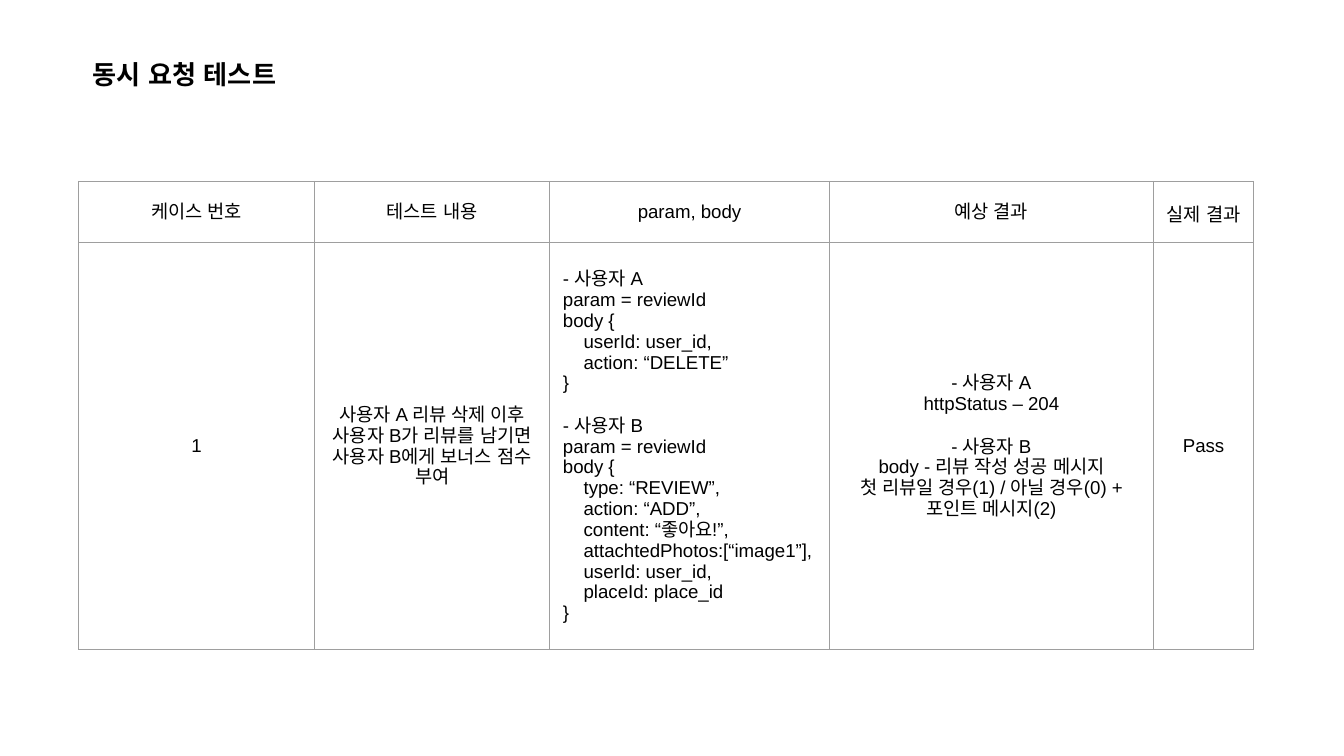
from lxml import etree
from pptx import Presentation
from pptx import util as u
from pptx.dml.color import RGBColor
from pptx.enum import text
from pptx.oxml import ns

COLOURS = {"ink": "000000", "paper": "FFFFFF", "rule": "9E9E9E"}
FONT = "Arial"
MARGIN = 0.25
GAP = 11.5  # points between the blocks of one cell
ALIGN = text.PP_ALIGN

COLUMNS = [4.45, 4.45, 5.28, 6.13, 1.89]
ROWS = [1.16, 7.45]
HEADERS = ["케이스 번호", "테스트 내용", "param, body", "예상 결과", "실제 결과"]

# Each cell is a list of blocks; each block is a list of lines
REQUESTS = [
    ["- 사용자 A",
     "param = reviewId",
     "body {",
     "    userId: user_id,",
     "    action: “DELETE”",
     "}"],
    ["- 사용자 B",
     "param = reviewId",
     "body {",
     "    type: “REVIEW”,",
     "    action: “ADD”,",
     "    content: “좋아요!”,",
     "    attachtedPhotos:[“image1”],",
     "    userId: user_id,",
     "    placeId: place_id",
     "}"],
]
EXPECTED = [
    ["- 사용자 A", "httpStatus – 204"],
    ["- 사용자 B",
     "body - 리뷰 작성 성공 메시지",
     "첫 리뷰일 경우(1) / 아닐 경우(0) + 포인트 메시지(2)"],
]
PURPOSE = "사용자 A 리뷰 삭제 이후 사용자 B가 리뷰를 남기면 사용자 B에게 보너스 점수 부여"
CASE = [[["1"]], [[PURPOSE]], REQUESTS, EXPECTED, [["Pass"]]]


def write(frame, blocks, size=10, bold=False, align=ALIGN.LEFT):
    """Fill a text frame with blocks of lines, set apart by paragraph spacing."""
    lines = [(line, number > 0 and place == 0)
             for number, block in enumerate(blocks)
             for place, line in enumerate(block)]
    for index, (line, opens_block) in enumerate(lines):
        para = frame.paragraphs[0] if index == 0 else frame.add_paragraph()
        para.alignment = align
        if opens_block:
            para.space_before = u.Pt(GAP)
        span = para.add_run()
        span.text = line
        span.font.name = FONT
        span.font.size = u.Pt(size)
        span.font.bold = bold
        span.font.color.rgb = RGBColor.from_string(COLOURS["ink"])
        east_asian = etree.SubElement(span.font._element, ns.qn("a:ea"))
        east_asian.set("typeface", FONT)


def draw_borders(cell, colour, width):
    properties = cell._tc.get_or_add_tcPr()
    for side in ("a:lnL", "a:lnR", "a:lnT", "a:lnB"):
        line = etree.SubElement(properties, ns.qn(side), w=str(u.Pt(width)))
        fill = etree.SubElement(line, ns.qn("a:solidFill"))
        etree.SubElement(fill, ns.qn("a:srgbClr"), val=colour)


def add_title(page, left, top, width, height):
    box = page.shapes.add_textbox(*map(u.Cm, (left, top, width, height)))
    frame = box.text_frame
    frame.word_wrap = True
    frame.auto_size = text.MSO_AUTO_SIZE.SHAPE_TO_FIT_TEXT
    frame.margin_left = frame.margin_right = u.Cm(MARGIN)
    frame.margin_top = frame.margin_bottom = u.Cm(MARGIN)
    write(frame, [["동시 요청 테스트"]], size=14, bold=True)


def add_test_table(page, left, top):
    box = (left, top, sum(COLUMNS), sum(ROWS))
    table = page.shapes.add_table(len(ROWS), len(COLUMNS), *map(u.Cm, box)).table
    table.first_row = table.horz_banding = False
    for column, width in zip(table.columns, COLUMNS):
        column.width = u.Cm(width)
    for row, height in zip(table.rows, ROWS):
        row.height = u.Cm(height)

    contents = [[[[header]] for header in HEADERS], CASE]
    for row, row_contents in zip(table.rows, contents):
        for cell, blocks in zip(row.cells, row_contents):
            draw_borders(cell, COLOURS["rule"], 0.75)
            cell.fill.solid()
            cell.fill.fore_color.rgb = RGBColor.from_string(COLOURS["paper"])
            cell.vertical_anchor = text.MSO_ANCHOR.MIDDLE
            cell.margin_left = cell.margin_right = u.Cm(MARGIN)
            cell.margin_top = cell.margin_bottom = u.Cm(MARGIN)
            align = ALIGN.JUSTIFY if blocks is REQUESTS else ALIGN.CENTER
            write(cell.text_frame, blocks, align=align)

    # The narrow last header wraps to two lines and needs tighter margins
    result_header = table.cell(0, len(COLUMNS) - 1)
    result_header.margin_top = u.Cm(0.12)
    result_header.margin_bottom = u.Cm(0)


def main():
    deck = Presentation()
    deck.slide_width, deck.slide_height = u.Cm(25.4), u.Cm(14.29)
    page = deck.slides.add_slide(deck.slide_layouts[6])
    add_title(page, 1.5, 0.86, 9.9, 1.12)
    add_test_table(page, 1.49, 3.43)
    deck.save("out.pptx")


if __name__ == "__main__":
    main()
